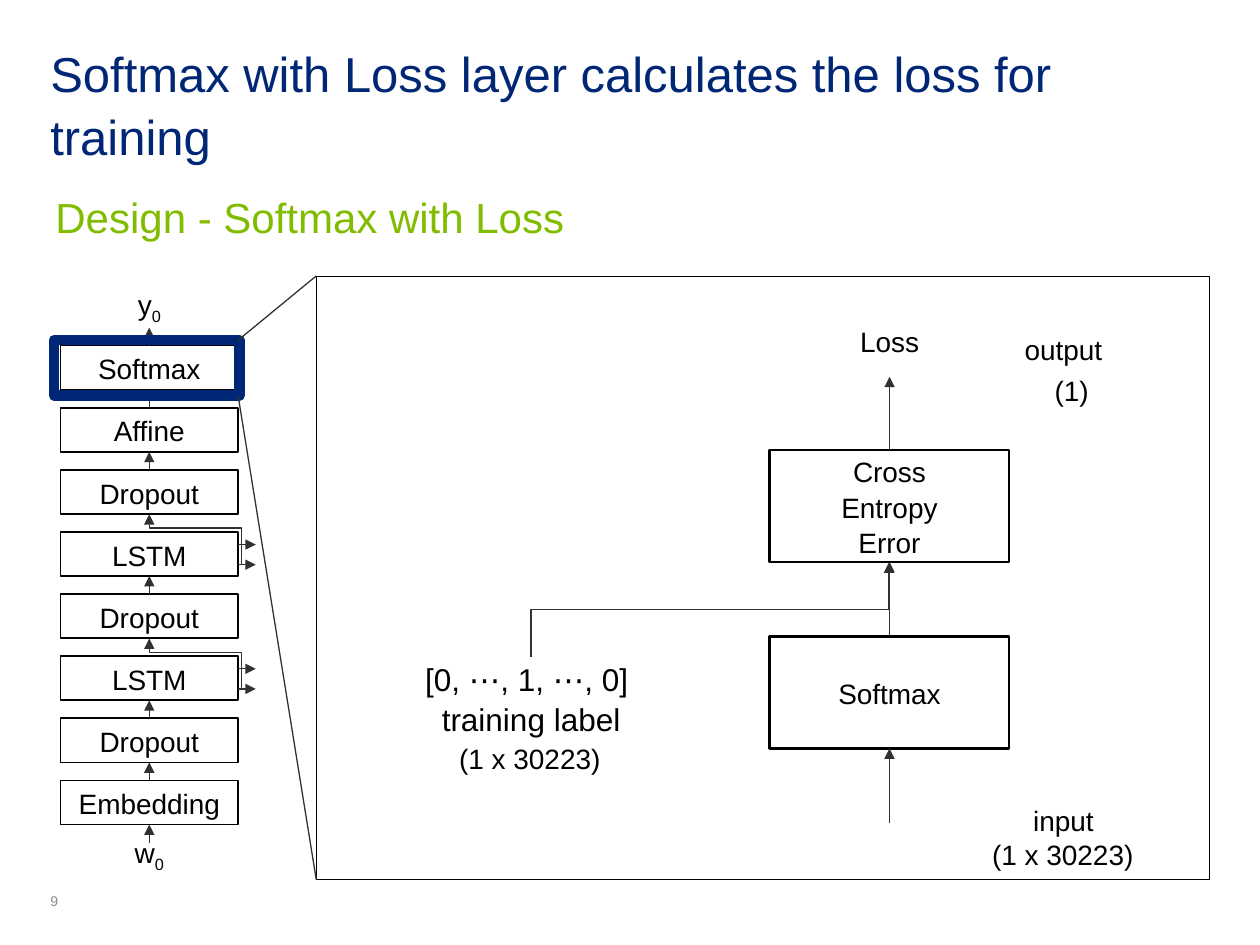
from lxml import etree
from pptx import Presentation
from pptx.dml.color import RGBColor
from pptx.enum.shapes import MSO_CONNECTOR as Route, MSO_SHAPE as Preset
from pptx.enum.text import MSO_ANCHOR as Anchor, PP_ALIGN as Align
from pptx.oxml import parse_xml
from pptx.oxml.ns import nsdecls, qn
from pptx.util import Inches, Pt

NAVY = RGBColor(0x00, 0x27, 0x76)
GREEN = RGBColor(0x81, 0xBC, 0x01)
GREY = RGBColor(0x8C, 0x8C, 0x8C)
DARK = RGBColor(0x31, 0x31, 0x31)
BLACK = RGBColor(0, 0, 0)
WHITE = RGBColor(255, 255, 255)

# Network column, top to bottom; a trailing digit of y0 and w0 is a subscript
LAYERS = ["y0", "Softmax", "Affine", "Dropout", "LSTM", "Dropout", "LSTM",
          "Dropout", "Embedding", "w0"]
COLUMN_LEFT, COLUMN_TOP, PITCH = 0.48, 2.25, 0.493
LAYER_W, LAYER_H = 1.41, 0.35


def write(shape, text, size=16, color=BLACK, align=Align.CENTER,
          anchor=Anchor.MIDDLE, inset=0.1, spacing=1.06):
    """Set and format the text of a shape, one paragraph a line."""
    frame = shape.text_frame
    frame.text = text
    frame.word_wrap = True
    frame.vertical_anchor = anchor
    frame.margin_left = frame.margin_right = Inches(inset)
    frame.margin_top = frame.margin_bottom = Inches(inset)
    for paragraph in frame.paragraphs:
        paragraph.alignment = align
        paragraph.line_spacing = spacing
        for run in paragraph.runs:
            run.font.name = "Arial"
            run.font.size = Pt(size)
            run.font.color.rgb = color


def add_label(slide, text, left, top, width, height, **style):
    label = slide.shapes.add_textbox(
        Inches(left), Inches(top), Inches(width), Inches(height))
    write(label, text, **style)
    return label


def add_box(slide, left, top, width, height, line=None, weight=1, fill=None):
    box = slide.shapes.add_shape(
        Preset.RECTANGLE, Inches(left), Inches(top), Inches(width), Inches(height))
    box.shadow.inherit = False
    if fill is None:
        box.fill.background()
    else:
        box.fill.solid()
        box.fill.fore_color.rgb = fill
    if line is None:
        box.line.fill.background()
    else:
        box.line.color.rgb = line
        box.line.width = Pt(weight)
    return box


def add_line(slide, start, end, arrow=True, route=Route.STRAIGHT):
    line = slide.shapes.add_connector(
        route, *(Inches(length) for length in (*start, *end)))
    line.line.color.rgb = DARK
    line.line.width = Pt(0.75)
    if arrow:
        outline = line.line._get_or_add_ln()
        etree.SubElement(outline, qn("a:tailEnd"), type="triangle")
    etree.SubElement(line._element.spPr, qn("a:effectLst"))
    return line


def add_upward_arrow(slide, lower, upper):
    """Arrow from the top of one shape to the bottom of the next."""
    arrow = add_line(slide, (0, 0), (1, 1))
    arrow.begin_connect(lower, 0)
    arrow.end_connect(upper, 2)


def add_subscript(shape):
    """Split the last character of a layer name off as a subscript."""
    paragraph = shape.text_frame.paragraphs[0]
    name = paragraph.runs[0]
    index = paragraph.add_run()
    name.text, index.text = name.text[:-1], name.text[-1]
    index.font.name, index.font.size = "Arial", Pt(16)
    index.font.color.rgb = BLACK
    index.font._element.set("baseline", "-25000")


def add_recurrent_paths(slide, top):
    """Two outputs to the right of an LSTM and a bent path up to the next layer."""
    right, center = COLUMN_LEFT + LAYER_W, COLUMN_LEFT + LAYER_W / 2
    bend = add_line(slide, (right, top + 0.26), (center, top - 0.14), route=Route.ELBOW)
    geometry = bend._element.spPr.find(qn("a:prstGeom"))
    geometry.set("prst", "bentConnector4")
    for old in list(geometry):
        geometry.remove(old)
    geometry.append(parse_xml(
        f'<a:avLst {nsdecls("a")}><a:gd name="adj1" fmla="val -3900"/>'
        '<a:gd name="adj2" fmla="val 72600"/></a:avLst>'))
    for offset in (0.1, 0.26):
        add_line(slide, (right, top + offset), (right + 0.14, top + offset))


def add_network(slide):
    boxes = []
    for row, name in enumerate(LAYERS):
        is_variable = name in ("y0", "w0")
        box = add_box(slide, COLUMN_LEFT, COLUMN_TOP + row * PITCH, LAYER_W, LAYER_H,
                      line=None if is_variable else BLACK, fill=WHITE)
        write(box, name, anchor=Anchor.BOTTOM if name == "w0" else Anchor.MIDDLE)
        if is_variable:
            add_subscript(box)
        boxes.append(box)
    for row, name in enumerate(LAYERS):
        if name == "LSTM":
            add_recurrent_paths(slide, COLUMN_TOP + row * PITCH)
        elif row > 0:
            add_upward_arrow(slide, boxes[row], boxes[row - 1])


def add_detail(slide):
    # Highlighted layer and its enlarged panel
    add_box(slide, 0.43, 2.7, 1.47, 0.44, line=NAVY, weight=6)
    add_box(slide, 2.51, 2.19, 7.09, 4.79, line=BLACK, weight=0.5)
    add_line(slide, (2.51, 2.19), (1.89, 2.7), arrow=False)
    add_line(slide, (2.51, 6.98), (1.89, 3.14), arrow=False)

    # Input, softmax, cross entropy and loss
    softmax = add_box(slide, 6.11, 5.05, 1.9, 0.89, line=BLACK, weight=1.5)
    write(softmax, "Softmax")
    entropy = add_box(slide, 6.11, 3.57, 1.9, 0.89, line=BLACK, weight=1.5)
    write(entropy, "Cross\nEntropy\nError")
    loss = add_label(slide, "Loss", 6.62, 2.41, 0.88, 0.58)
    add_line(slide, (7.06, 6.53), (7.06, 5.94)).end_connect(softmax, 2)
    add_upward_arrow(slide, softmax, entropy)
    add_upward_arrow(slide, entropy, loss)

    # Training label, led up and across to the cross entropy by a turned elbow
    add_label(slide, "[0, ⋯, 1, ⋯, 0] \ntraining label", 3.19, 5.22, 2.05, 0.61,
              size=18, anchor=Anchor.TOP, inset=0)
    elbow = add_line(slide, (6.01, 6.26), (5.26, 3.42), route=Route.ELBOW)
    elbow._element.spPr.find(qn("a:xfrm")).set("rot", str(90 * 60000))

    # Names and dimensions
    add_label(slide, "input", 7.92, 6.3, 1.04, 0.41)
    add_label(slide, "output", 7.92, 2.56, 1.04, 0.41)
    for size, left, top in (("(1 x 30223)", 7.53, 6.48),
                            ("(1 x 30223)", 3.3, 5.72),
                            ("(1)", 7.6, 2.8)):
        add_label(slide, size, left, top, 1.81, 0.58)


def main():
    deck = Presentation()
    deck.slide_width, deck.slide_height = Inches(10), Inches(7.5)
    slide = deck.slides.add_slide(deck.slide_layouts[5])

    # Headings and page number
    title = slide.shapes.title
    title.left, title.top = Inches(0.4), Inches(0.32)
    title.width, title.height = Inches(9.2), Inches(0.51)
    heading = {"align": Align.LEFT, "anchor": Anchor.TOP, "inset": 0}
    write(title, "Softmax with Loss layer calculates the loss for training",
          size=28, color=NAVY, **heading)
    add_label(slide, "Design - Softmax with Loss", 0.44, 1.5, 9, 0.35,
              size=24, color=GREEN, **heading)
    add_label(slide, "9", 0.4, 7.09, 0.5, 0.13, size=8, color=GREY,
              align=Align.LEFT, anchor=Anchor.BOTTOM, inset=0, spacing=1.0)

    add_network(slide)
    add_detail(slide)
    deck.save("out.pptx")


if __name__ == "__main__":
    main()
